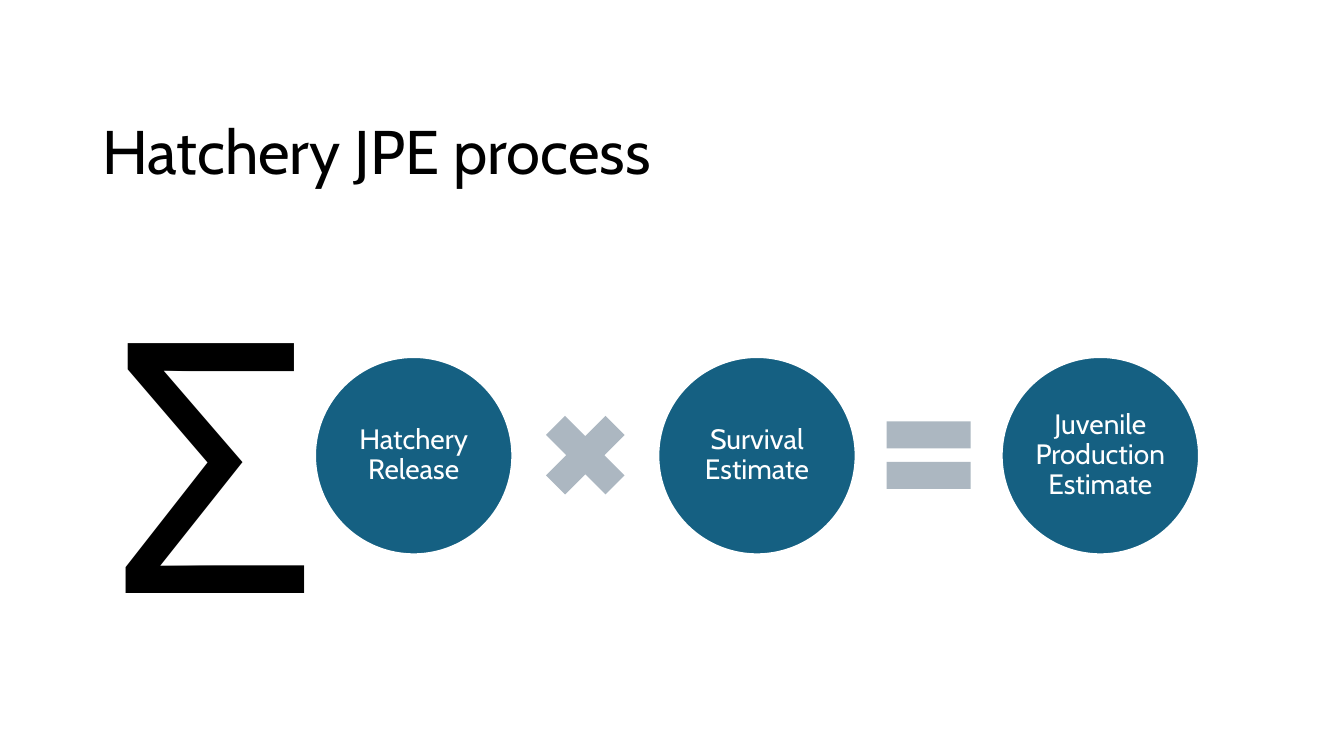
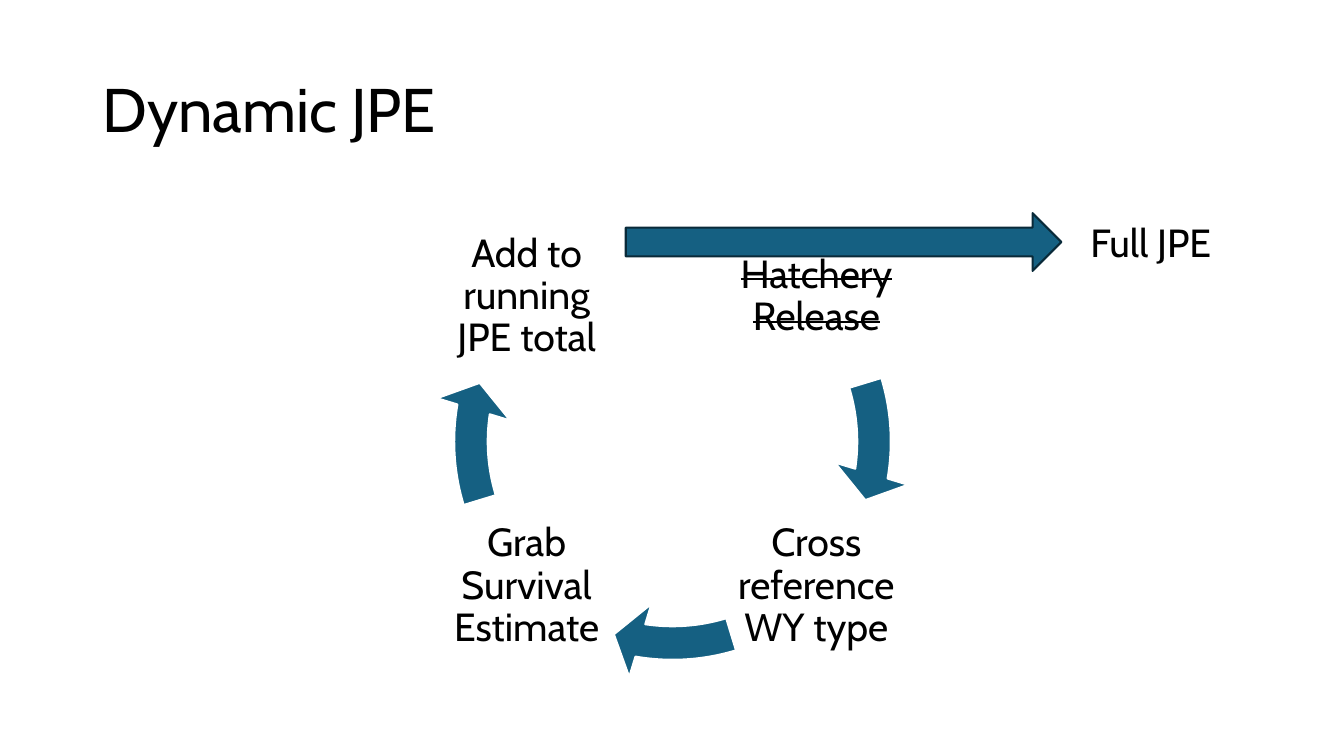
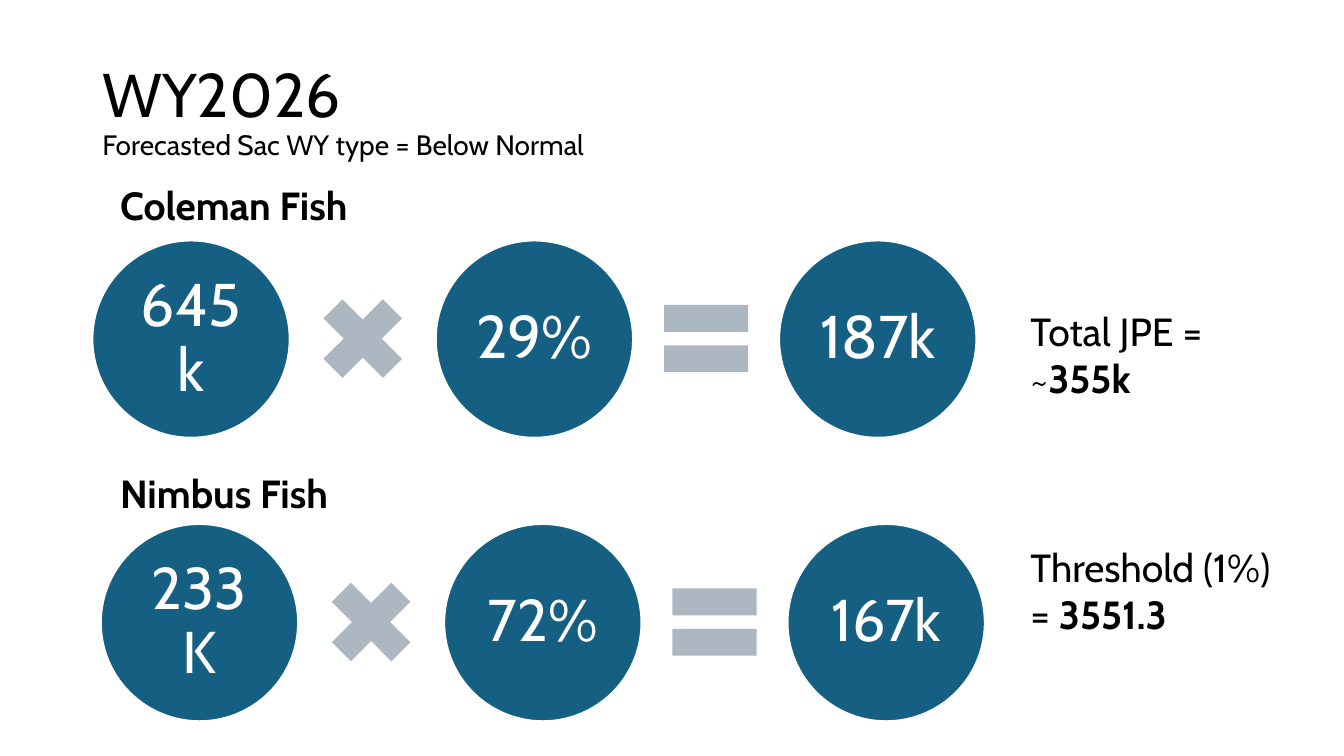
"""Build three slides explaining the hatchery juvenile production estimate."""
from pptx import Presentation
from pptx.dml.color import RGBColor
from pptx.enum.shapes import MSO_SHAPE as SHAPE
from pptx.enum.text import MSO_ANCHOR as ANCHOR, PP_ALIGN as ALIGN
from pptx.util import Pt

PX = 9525
FONT = "Cabin"
BLACK = RGBColor(0x00, 0x00, 0x00)
WHITE = RGBColor(0xFF, 0xFF, 0xFF)
TEAL = RGBColor(0x15, 0x60, 0x82)
NAVY = RGBColor(0x09, 0x2A, 0x39)
GRAY = RGBColor(0xAC, 0xB7, 0xC1)

CIRCLE, OPERATOR, GAP = 188, 109, 15
OPERATORS = [SHAPE.MATH_MULTIPLY, SHAPE.MATH_EQUAL]

PROCESS = ["Hatchery Release", "Survival Estimate", "Juvenile Production Estimate"]
CYCLE_STEPS = [
    ("Hatchery Release", 1, 0),
    ("Cross reference WY type", 1, 1),
    ("Grab Survival Estimate", 0, 1),
    ("Add to running JPE total", 0, 0),
]
FINISHED_STEP = "Hatchery Release"
STEP_SIZE, STEP_LEFT, STEP_TOP, STEP_PITCH = 161, 421, 202, 276
CYCLE_BOX = (412, 192, 457, 457)
ARROW_COUNT, QUARTER_TURN, FULL_TURN = 3, 54, 216
HATCHERIES = [
    ("Coleman Fish", 168, ["645k", "29%", "187k"], 88, 229, 43),
    ("Nimbus Fish", 442, ["233K", "72%", "167k"], 96, 499, 42),
]
TOTALS = [("Total JPE = ~", "355k"), ("Threshold (1%) = ", "3551.3")]


def style_run(run, size, color=BLACK, bold=False):
    font = run.font
    font.name, font.size, font.bold = FONT, Pt(size), bold
    font.color.rgb = color


def write(shape, text, sizes, color=BLACK, bold=False, inset=None, centered=False, spacing=None):
    text_frame = shape.text_frame
    text_frame.word_wrap = True
    text_frame.text = text
    if inset is not None:
        text_frame.margin_left = text_frame.margin_right = inset * PX
        text_frame.margin_top = text_frame.margin_bottom = inset * PX
    if spacing:
        text_frame.vertical_anchor = ANCHOR.MIDDLE
    paragraph = text_frame.paragraphs[0]
    paragraph.alignment = ALIGN.CENTER if centered else ALIGN.LEFT
    paragraph.line_spacing = spacing
    for run, size in zip(paragraph.runs, sizes):
        style_run(run, size, color, bold)


def add_text(slide, box, text, *sizes, **options):
    shape = slide.shapes.add_textbox(*[length * PX for length in box])
    write(shape, text, sizes, **options)
    return shape


def add_preset(slide, preset, box, fill=TEAL, line=None):
    shape = slide.shapes.add_shape(preset, *[length * PX for length in box])
    shape.shadow.inherit = False
    shape.fill.solid()
    shape.fill.fore_color.rgb = fill
    if line is None:
        shape.line.fill.background()
    else:
        shape.line.color.rgb = line
        shape.line.width = Pt(1.5)
    return shape


def add_slide(presentation, title, top=38):
    slide = presentation.slides.add_slide(presentation.slide_layouts[6])
    add_text(slide, (88, top, 1104, 139), title, 44, 20, spacing=0.9)
    return slide


def add_equation(slide, labels, left, top, size, inset):
    pitch = CIRCLE + OPERATOR + 2 * GAP
    for index, label in enumerate(labels):
        circle = add_preset(slide, SHAPE.OVAL, (left + index * pitch, top, CIRCLE, CIRCLE), line=WHITE)
        write(circle, label, [size], color=WHITE, inset=inset, centered=True, spacing=0.9)
    for index, operator in enumerate(OPERATORS):
        operator_left = left + index * pitch + CIRCLE + GAP
        operator_top = top + (CIRCLE - OPERATOR) // 2
        add_preset(slide, operator, (operator_left, operator_top, OPERATOR, OPERATOR), fill=GRAY)


def build_process(presentation):
    slide = add_slide(presentation, "Hatchery JPE process", top=78)
    add_equation(slide, PROCESS, 300, 340, 20, 3)
    add_text(slide, (99, 227, 200, 414), "Σ", 250)


def build_cycle(presentation):
    slide = add_slide(presentation, "Dynamic JPE")
    for label, column, row in CYCLE_STEPS:
        box = (STEP_LEFT + column * STEP_PITCH, STEP_TOP + row * STEP_PITCH, STEP_SIZE, STEP_SIZE)
        step = add_text(slide, box, label, 28, inset=4, centered=True, spacing=0.9)
        if label == FINISHED_STEP:
            run = step.text_frame.paragraphs[0].runs[0]
            run.font._element.set("strike", "sngStrike")
    for index in range(ARROW_COUNT):
        turn = index * QUARTER_TURN
        arrow = add_preset(slide, SHAPE.CIRCULAR_ARROW, CYCLE_BOX, line=WHITE)
        values = (0.07, 4.65, 5.5 + turn, (205.85 + turn) % FULL_TURN, 0.08)
        for position, value in enumerate(values):
            arrow.adjustments[position] = value
    add_preset(slide, SHAPE.RIGHT_ARROW, (596, 203, 415, 55), line=NAVY)
    add_text(slide, (1029, 203, 169, 55), "Full JPE", 28)


def build_forecast(presentation):
    slide = add_slide(presentation, "WY2026\vForecasted Sac WY type = Below Normal")
    for name, name_top, values, left, top, size in HATCHERIES:
        add_equation(slide, values, left, top, size, 6)
        add_text(slide, (105, name_top, 427, 55), name, 28, bold=True)
    totals = add_text(slide, (972, 288, 271, 326), "", 28)
    for index, (label, value) in enumerate(TOTALS):
        text_frame = totals.text_frame
        paragraph = text_frame.add_paragraph() if index else text_frame.paragraphs[0]
        if index:
            paragraph.space_before = Pt(101)
        for text, bold in ((label, False), (value, True)):
            run = paragraph.add_run()
            run.text = text
            style_run(run, 28, bold=bold)


def main():
    presentation = Presentation()
    presentation.slide_width, presentation.slide_height = 1280 * PX, 720 * PX
    build_process(presentation)
    build_cycle(presentation)
    build_forecast(presentation)
    presentation.save("out.pptx")


if __name__ == "__main__":
    main()
